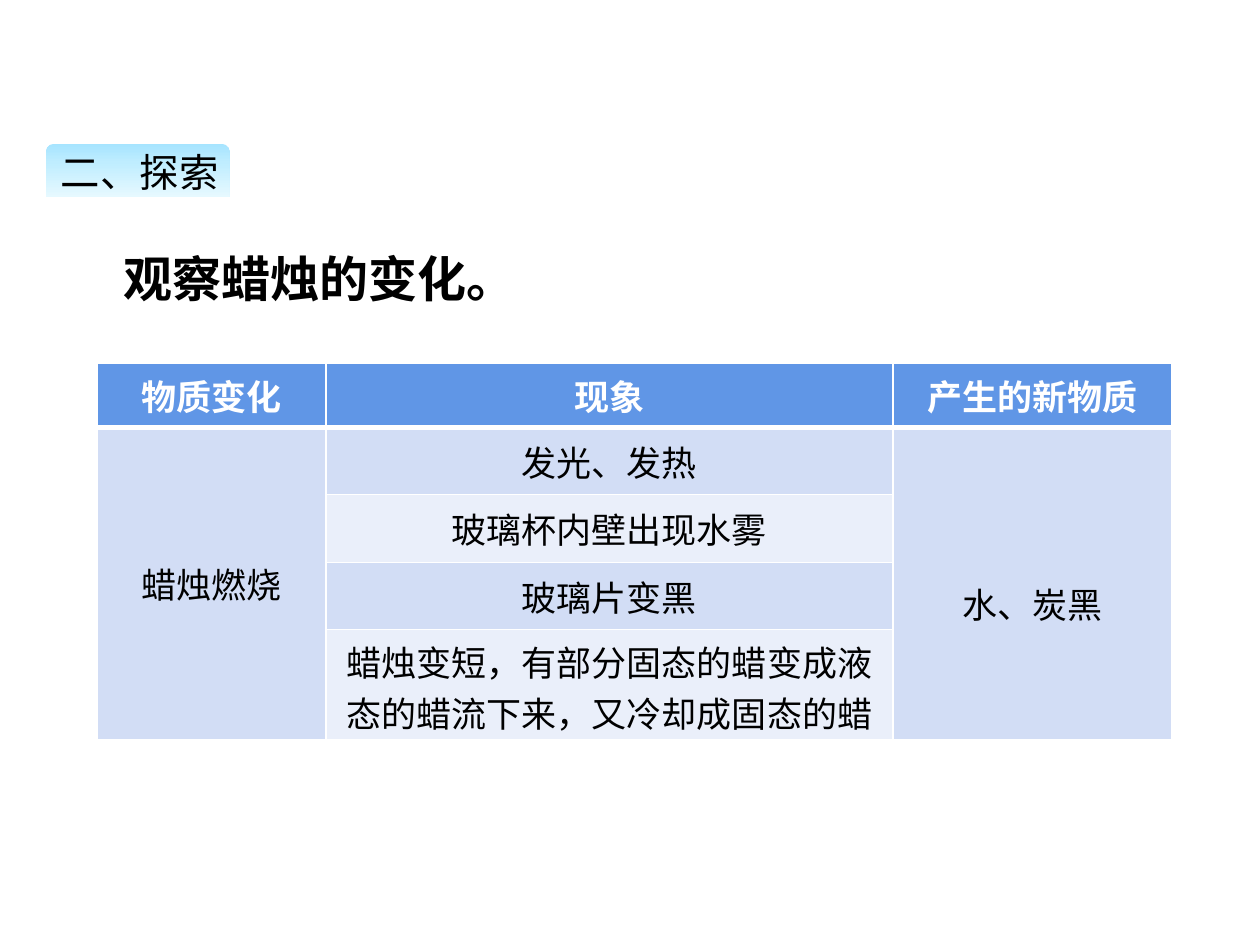
from copy import deepcopy

from lxml.etree import SubElement
from pptx import Presentation
from pptx.dml.color import RGBColor
from pptx.enum.shapes import MSO_SHAPE as Shape
from pptx.enum.text import MSO_ANCHOR as Anchor, PP_ALIGN as Align
from pptx.oxml.ns import qn
from pptx.util import Cm, Pt

BLACK = RGBColor(0x00, 0x00, 0x00)
WHITE = RGBColor(0xFF, 0xFF, 0xFF)
HEADER_BLUE = RGBColor(0x60, 0x96, 0xE6)
BAND_DARK = RGBColor(0xD2, 0xDD, 0xF5)
BAND_LIGHT = RGBColor(0xEA, 0xEF, 0xFA)
BADGE_STOPS = [
    (0, RGBColor(0xA6, 0xE4, 0xFF)),
    (0.35, RGBColor(0xBF, 0xED, 0xFF)),
    (1, RGBColor(0xE6, 0xF9, 0xFF)),
]
CJK_SC = "Noto Sans CJK SC"
CJK_JP = "Noto Sans CJK JP"

COLUMN_WIDTHS = [4.6, 11.43, 5.62]
ROW_HEIGHTS = [1.3, 1.35, 1.37, 1.35, 2.22]
HEADINGS = ["物质变化", "现象", "产生的新物质"]
PHENOMENA = [
    "发光、发热",
    "玻璃杯内壁出现水雾",
    "玻璃片变黑",
    "蜡烛变短，有部分固态的蜡变成液态的蜡流下来，又冷却成固态的蜡",
]


def add_run(paragraph, text, size, color=BLACK, bold=False, latin="Arial", asian=CJK_SC):
    """Append a run with its Latin and East Asian fonts."""
    run = paragraph.add_run()
    run.text = text
    run.font.size = Pt(size)
    run.font.bold = bold
    run.font.color.rgb = color
    run.font.name = latin
    SubElement(run.font._element, qn("a:ea"), typeface=asian)


def add_section_badge(slide, left, top, width, height):
    """Place the section label on its gradient tab."""
    badge = slide.shapes.add_shape(
        Shape.ROUND_2_SAME_RECTANGLE, Cm(left), Cm(top), Cm(width), Cm(height)
    )
    badge.shadow.inherit = False
    badge.adjustments[0] = 0.15
    badge.line.fill.background()
    badge.fill.gradient()
    badge.fill.gradient_angle = 270
    stop_list = badge._element.spPr.find(".//" + qn("a:gsLst"))
    stop_list.insert(1, deepcopy(stop_list[0]))
    for stop, (position, color) in zip(badge.fill.gradient_stops, BADGE_STOPS):
        stop.position = position
        stop.color.rgb = color
    frame = badge.text_frame
    frame.word_wrap = False
    frame.vertical_anchor = Anchor.MIDDLE
    frame.paragraphs[0].alignment = Align.LEFT
    add_run(frame.paragraphs[0], "二、探索", 22.5, latin=CJK_JP, asian=CJK_JP)


def add_task(slide, left, top, width, height):
    """Place the bold task sentence."""
    task = slide.shapes.add_textbox(Cm(left), Cm(top), Cm(width), Cm(height))
    task.text_frame.word_wrap = True
    sentence = task.text_frame.paragraphs[0]
    add_run(sentence, "观察蜡烛的变化", 28, bold=True)
    add_run(sentence, "。", 28, bold=True, latin=CJK_SC)


def set_borders(cell, bottom):
    """Draw white cell borders with the given bottom width."""
    properties = cell._tc.get_or_add_tcPr()
    widths = {"a:lnL": 1, "a:lnR": 1, "a:lnT": 1, "a:lnB": bottom}
    for index, (tag, width) in enumerate(widths.items()):
        line = SubElement(properties, qn(tag), w=str(Pt(width)))
        fill = SubElement(line, qn("a:solidFill"))
        SubElement(fill, qn("a:srgbClr"), val=str(WHITE))
        properties.insert(index, line)


def fill_cell(cell, text, color=BLACK, bold=False):
    """Write centred text in a table cell."""
    cell.vertical_anchor = Anchor.MIDDLE
    paragraph = cell.text_frame.paragraphs[0]
    paragraph.alignment = Align.CENTER
    add_run(paragraph, text, 20, color, bold)


def add_observation_table(slide, left, top):
    """Build the table of observed changes."""
    table = slide.shapes.add_table(
        len(ROW_HEIGHTS), len(COLUMN_WIDTHS), Cm(left), Cm(top),
        Cm(sum(COLUMN_WIDTHS)), Cm(sum(ROW_HEIGHTS)),
    ).table
    for column, width in zip(table.columns, COLUMN_WIDTHS):
        column.width = Cm(width)
    for index, (row, height) in enumerate(zip(table.rows, ROW_HEIGHTS)):
        row.height = Cm(height)
        band = BAND_DARK if index % 2 else BAND_LIGHT
        for cell in row.cells:
            cell.fill.solid()
            cell.fill.fore_color.rgb = band if index else HEADER_BLUE
            set_borders(cell, bottom=1 if index else 3)
    for column, heading in enumerate(HEADINGS):
        fill_cell(table.cell(0, column), heading, WHITE, True)
    for row, phenomenon in enumerate(PHENOMENA, 1):
        fill_cell(table.cell(row, 1), phenomenon)
    last_row = len(PHENOMENA)
    for column, text in ((0, "蜡烛燃烧"), (2, "水、炭黑")):
        table.cell(1, column).merge(table.cell(last_row, column))
        fill_cell(table.cell(1, column), text)
    table.cell(1, 2).margin_top = Cm(0.9)


def main():
    """Build and save the slide."""
    deck = Presentation()
    deck.slide_width, deck.slide_height = Cm(25.4), Cm(19.05)
    slide = deck.slides.add_slide(deck.slide_layouts[6])
    add_section_badge(slide, 0.93, 2.9, 3.7, 1.07)
    add_task(slide, 2.24, 4.88, 19.94, 1.45)
    add_observation_table(slide, 1.97, 7.32)
    deck.save("out.pptx")


if __name__ == "__main__":
    main()
